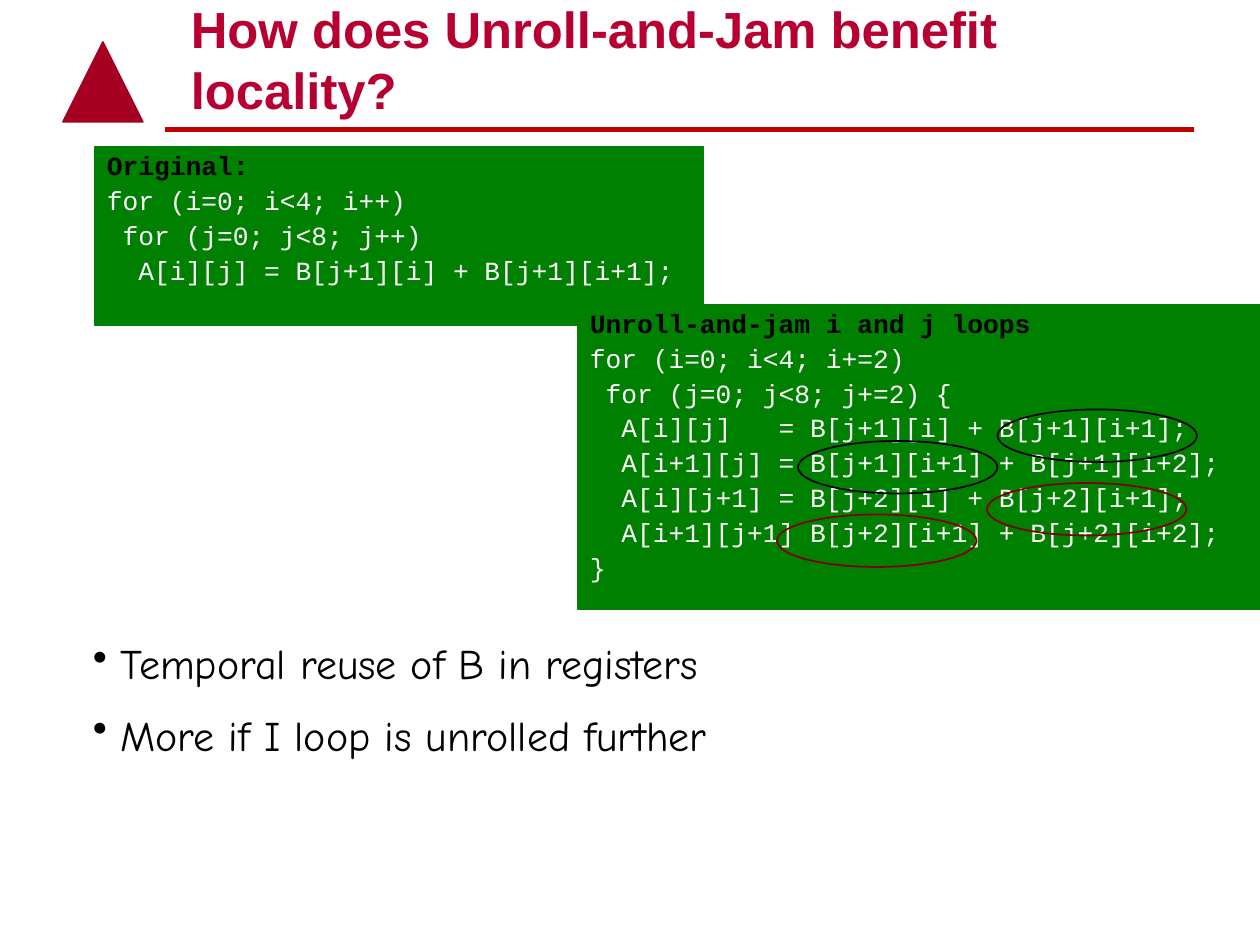
from lxml import etree
from pptx import Presentation
from pptx import util as u
from pptx.dml.color import RGBColor
from pptx.enum import shapes, text
from pptx.oxml import ns

RED = RGBColor(0xB7, 0x00, 0x31)
RULE = RGBColor(0xC0, 0x00, 0x00)
EMBLEM = RGBColor(0xA5, 0x00, 0x21)
GREEN = RGBColor(0x00, 0x80, 0x00)
MAROON = RGBColor(0x80, 0x00, 0x00)
BLACK = RGBColor(0x00, 0x00, 0x00)
WHITE = RGBColor(0xFF, 0xFF, 0xFF)

# Content; places are columns and rows of a grid with 12 cells to the inch
TITLE = "How does Unroll-and-Jam benefit locality?"
CODE = [
    ((9, 14, 58, 17), "Original:", [
        "for (i=0; i<4; i++)",
        " for (j=0; j<8; j++)",
        "  A[i][j] = B[j+1][i] + B[j+1][i+1];",
    ]),
    ((55, 29, 65, 29), "Unroll-and-jam i and j loops", [
        "for (i=0; i<4; i+=2)",
        " for (j=0; j<8; j+=2) {",
        "  A[i][j]   = B[j+1][i] + B[j+1][i+1];",
        "  A[i+1][j] = B[j+1][i+1] + B[j+1][i+2];",
        "  A[i][j+1] = B[j+2][i] + B[j+2][i+1];",
        "  A[i+1][j+1] B[j+2][i+1] + B[j+2][i+2];",
        "}",
    ]),
]
REUSES = [(95, 39, BLACK), (76, 42, BLACK), (94, 46, MAROON), (74, 49, MAROON)]
BULLETS = ["Temporal reuse of B in registers", "More if I loop is unrolled further"]

TITLE_FONT = dict(name="Arial", size=u.Pt(29), bold=True)
CODE_FONT = dict(name="Courier New", size=u.Pt(15))
BULLET_FONT = dict(name="Comic Neue", size=u.Pt(24))

prs = Presentation()
prs.slide_width, prs.slide_height = u.Inches(10), u.Inches(7.5)
s = prs.slides.add_slide(prs.slide_layouts[6])


def cells(*counts):
    return [u.Inches(n / 12) for n in counts]


def add_shape(kind, place, fill, line, width):
    sp = s.shapes.add_shape(kind, *cells(*place))
    sp.shadow.inherit = False
    if fill is None:
        sp.fill.background()
    else:
        sp.fill.solid()
        sp.fill.fore_color.rgb = fill
    sp.line.color.rgb = line
    sp.line.width = u.Pt(width)
    return sp


def set_frame(sp, anchor, side=0.1, top=0.05):
    tf = sp.text_frame
    values = dict(word_wrap=True, vertical_anchor=anchor, margin_left=u.Inches(side),
                  margin_right=u.Inches(side), margin_top=u.Inches(top),
                  margin_bottom=u.Inches(top))
    for name, value in values.items():
        setattr(tf, name, value)
    return tf


def add_lines(tf, lines, font, spacing=None, before=0, bullet=None):
    """Write (text, colour, bold) lines, one to a paragraph."""
    for i, (words, color, bold) in enumerate(lines):
        p = tf.paragraphs[0] if i == 0 else tf.add_paragraph()
        p.alignment = text.PP_ALIGN.LEFT
        p.line_spacing = spacing
        p.space_before = u.Pt(before if i else 0)
        if bullet:
            pPr = p._p.get_or_add_pPr()
            pPr.set("marL", str(u.Inches(0.22)))
            pPr.set("indent", str(-u.Inches(0.22)))
            etree.SubElement(pPr, ns.qn("a:buChar")).set("char", bullet)
        r = p.add_run()
        r.text = words
        for name, value in {**font, "bold": bold}.items():
            setattr(r.font, name, value)
        r.font.color.rgb = color


# Rule under the title
rule = s.shapes.add_connector(shapes.MSO_CONNECTOR.STRAIGHT, u.Inches(1.31), u.Inches(1.03),
                              u.Inches(9.48), u.Inches(1.03))
rule.line.color.rgb = RULE
rule.line.width = u.Pt(3)
etree.SubElement(rule._element.spPr, ns.qn("a:effectLst"))

# Plain mark beside the title
add_shape(shapes.MSO_SHAPE.ISOSCELES_TRIANGLE, (6, 4, 7.6, 7.6), EMBLEM, EMBLEM, 1)

# Title
sp = s.shapes.add_textbox(*cells(17, 4, 96, 8))
add_lines(set_frame(sp, text.MSO_ANCHOR.BOTTOM), [(TITLE, RED, True)], TITLE_FONT)

# Bullets
sp = s.shapes.add_textbox(*cells(8, 61.5, 105, 11))
add_lines(set_frame(sp, text.MSO_ANCHOR.TOP, 0.07, 0.03),
          [(words, BLACK, False) for words in BULLETS], BULLET_FONT, 0.75, 19.5, "•")

# Code boxes
for place, heading, code in CODE:
    sp = add_shape(shapes.MSO_SHAPE.RECTANGLE, place, GREEN, GREEN, 0.75)
    lines = [(heading, BLACK, True)] + [(words, WHITE, False) for words in code]
    add_lines(set_frame(sp, text.MSO_ANCHOR.TOP), lines, CODE_FONT, 0.9, 3.7)

# Rings around the reused elements
for col, row, color in REUSES:
    add_shape(shapes.MSO_SHAPE.OVAL, (col, row, 19, 5), None, color, 1)

prs.save("out.pptx")
